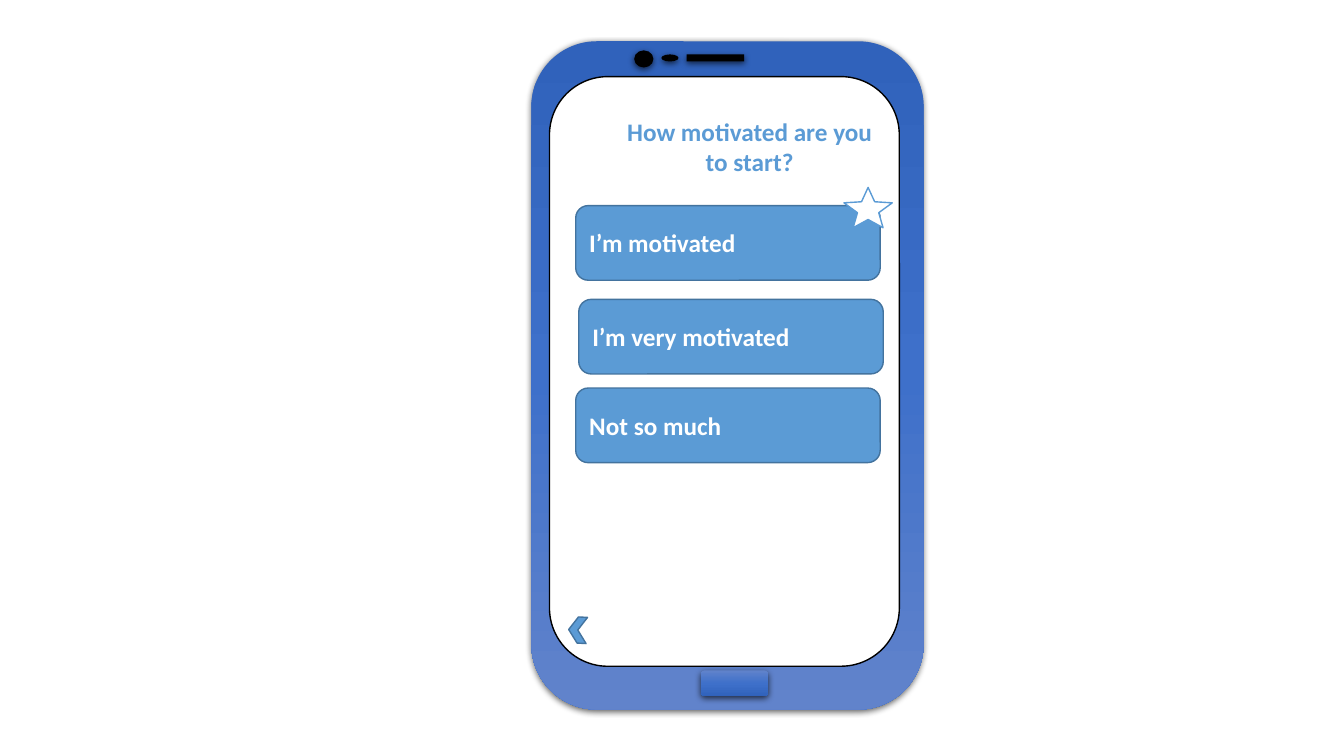
from copy import deepcopy
from dataclasses import dataclass

from lxml import etree
from pptx import Presentation
from pptx.dml.color import RGBColor
from pptx.enum.shapes import MSO_SHAPE
from pptx.enum.text import MSO_ANCHOR, PP_ALIGN
from pptx.oxml.ns import qn
from pptx.util import Pt

PX = 9144  # 100 px to the inch


@dataclass(frozen=True)
class Theme:
    font: str = "Calibri"
    size: int = 18
    line: int = 1
    white: str = "FFFFFF"
    black: str = "000000"
    accent: str = "5B9BD5"
    edge: str = "43739E"
    glow: tuple = ("6183CB", "3E70CA", "3062BB")


THEME = Theme()


def add_part(slide, kind, box, fill=None, line=None):
    sp = slide.shapes.add_shape(kind, *(v * PX for v in box))
    sp.shadow.inherit = False
    if fill:
        sp.fill.solid()
        sp.fill.fore_color.rgb = RGBColor.from_string(fill)
    if line:
        sp.line.color.rgb = RGBColor.from_string(line)
        sp.line.width = Pt(THEME.line)
    else:
        sp.line.fill.background()
    return sp


def set_gradient(sp, colors):
    """Fill from top to bottom with three evenly spaced colours."""
    sp.fill.gradient()
    sp.fill.gradient_angle = 270
    first = sp._element.spPr.find(".//" + qn("a:gs"))
    first.addnext(deepcopy(first))
    for i, (stop, color) in enumerate(zip(sp.fill.gradient_stops, colors)):
        stop.position = i / 2
        stop.color.rgb = RGBColor.from_string(color)


def add_shadow(sp):
    effects = sp._element.spPr.find(qn("a:effectLst"))
    shadow = etree.SubElement(
        effects, qn("a:outerShdw"), blurRad=str(Pt(4.5)), dist=str(Pt(1.5)),
        dir="5400000", algn="ctr", rotWithShape="0")
    color = etree.SubElement(shadow, qn("a:srgbClr"), val=THEME.black)
    etree.SubElement(color, qn("a:alpha"), val="63000")


def set_text(sp, text, color, align, anchor):
    tf = sp.text_frame
    tf.word_wrap = True
    tf.vertical_anchor = anchor
    p = tf.paragraphs[0]
    p.text = text
    p.alignment = align
    p.font.name = THEME.font
    p.font.size = Pt(THEME.size)
    p.font.bold = True
    p.font.color.rgb = RGBColor.from_string(color)
    return tf


def add_phone(slide, box):
    """Draw the body, screen, home button and top sensors."""
    x, y, w, h = box
    body = add_part(slide, MSO_SHAPE.ROUNDED_RECTANGLE, box)
    set_gradient(body, reversed(THEME.glow))
    add_shadow(body)

    screen_box = (x + 18, y + 35, w - 42, h - 78)
    screen = add_part(slide, MSO_SHAPE.ROUNDED_RECTANGLE, screen_box,
                      THEME.white, THEME.black)
    tf = set_text(screen, "How motivated are you to start?", THEME.accent,
                  PP_ALIGN.CENTER, MSO_ANCHOR.TOP)
    tf.margin_left = 60 * PX
    tf.margin_top = 22 * PX

    home = add_part(slide, MSO_SHAPE.ROUNDED_RECTANGLE,
                    (x + 168, y + h - 39, 67, 26))
    set_gradient(home, THEME.glow)
    add_shadow(home)

    sensors = (
        (MSO_SHAPE.RECTANGLE, 154, 13, 57, 7),
        (MSO_SHAPE.OVAL, 129, 13, 17, 7),
        (MSO_SHAPE.OVAL, 102, 9, 19, 17),
    )
    for kind, dx, dy, sw, sh in sensors:
        add_shadow(add_part(slide, kind, (x + dx, y + dy, sw, sh), THEME.black))
    return screen_box


def add_answers(slide, box):
    x, y, w, h = box
    answers = (
        ("I’m motivated", 26, 128),
        ("I’m very motivated", 29, 221),
        ("Not so much", 26, 309),
    )
    for text, dx, dy in answers:
        sp = add_part(slide, MSO_SHAPE.ROUNDED_RECTANGLE,
                      (x + dx, y + dy, w - 45, 74), THEME.accent, THEME.edge)
        set_text(sp, text, THEME.white, PP_ALIGN.LEFT, MSO_ANCHOR.MIDDLE)


def add_markers(slide, box):
    """Place the star on the first answer and the back arrow at the foot."""
    x, y, w, h = box
    star = add_part(slide, MSO_SHAPE.STAR_5_POINT,
                    (x + w - 55, y + 110, 48, 40), THEME.white, THEME.accent)
    star.adjustments[0] = 0.22
    back = add_part(slide, MSO_SHAPE.CHEVRON,
                    (x + 19, y + h - 49, 18, 26), THEME.accent, THEME.edge)
    back.rotation = 183.2


def main():
    prs = Presentation()
    prs.slide_width = 1333 * PX
    prs.slide_height = 750 * PX
    slide = prs.slides.add_slide(prs.slide_layouts[6])
    screen_box = add_phone(slide, (527, 41, 389, 663))
    add_answers(slide, screen_box)
    add_markers(slide, screen_box)
    prs.save("out.pptx")


if __name__ == "__main__":
    main()
